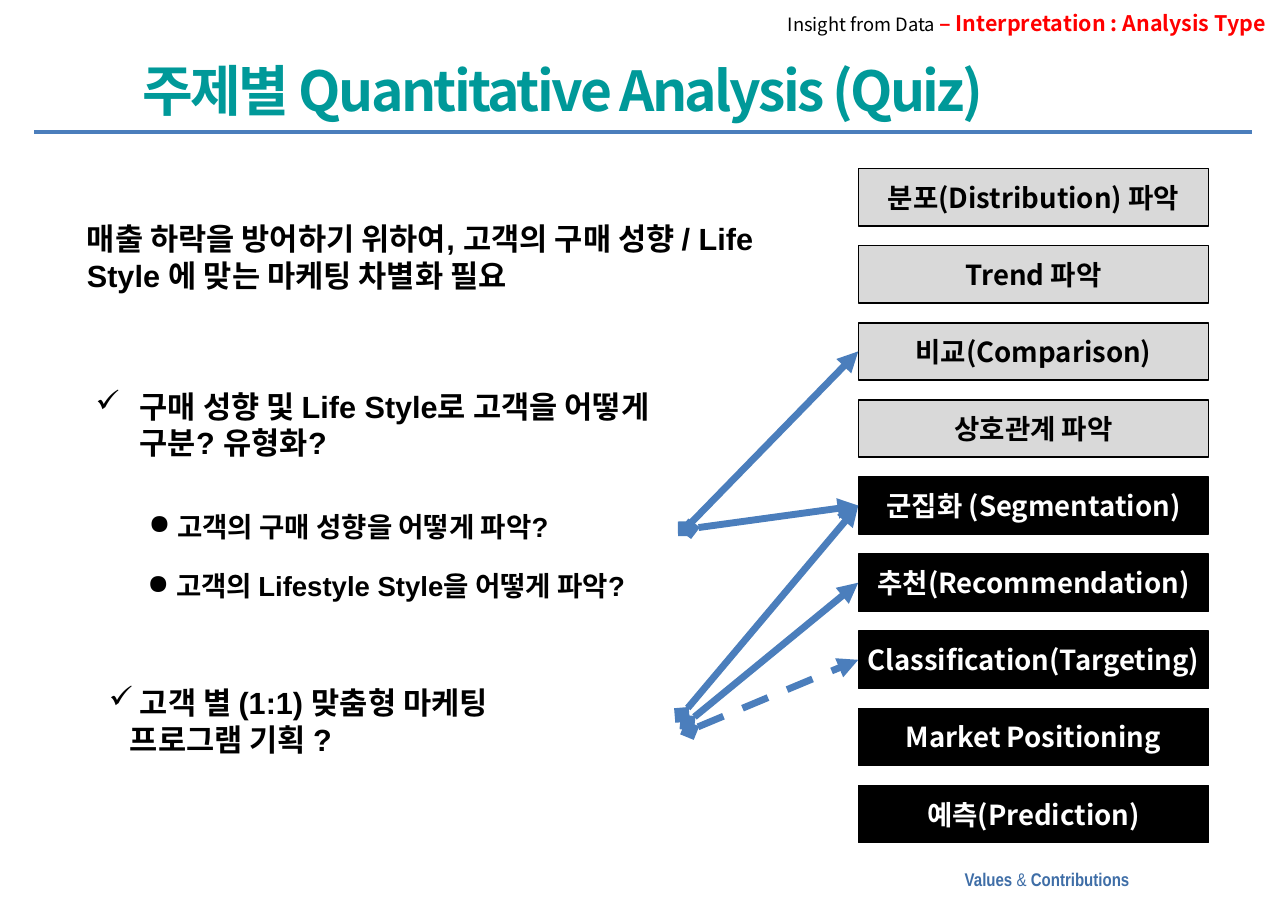
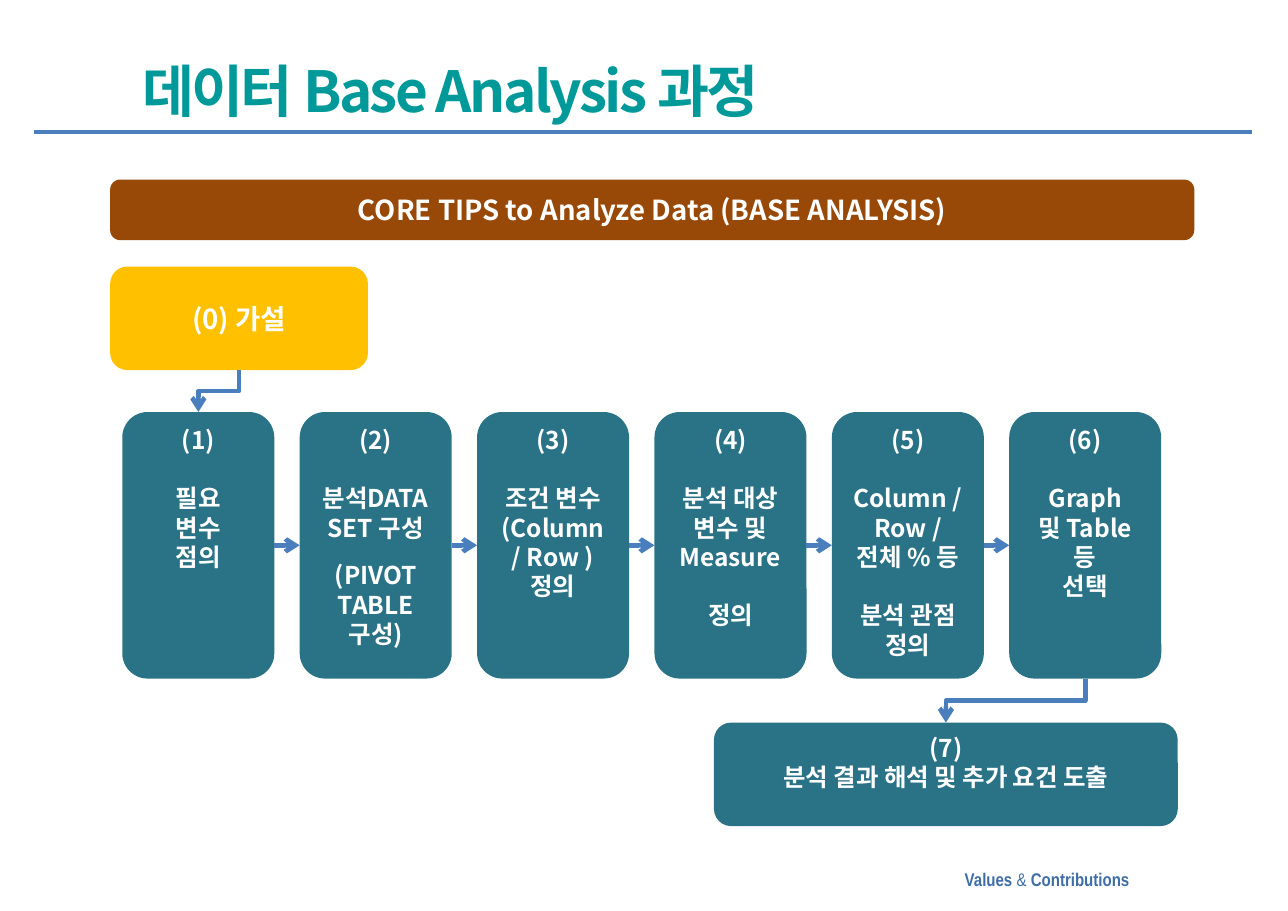
import dataclasses

import lxml.etree
import pptx
import pptx.dml.color
import pptx.enum.dml
import pptx.enum.shapes
import pptx.enum.text
import pptx.oxml.ns
import pptx.util

PX = 9144  # EMU in one px, 100 px to the inch
qn = pptx.oxml.ns.qn
SHAPE = pptx.enum.shapes.MSO_SHAPE
CONNECTOR = pptx.enum.shapes.MSO_CONNECTOR
ALIGN = pptx.enum.text.PP_ALIGN
ANCHOR = pptx.enum.text.MSO_ANCHOR
TOP, LEFT, BOTTOM, RIGHT = range(4)  # connection sites of a box


@dataclasses.dataclass(frozen=True)
class Theme:
    title: str = "009999"
    line: str = "4B7EBC"
    footer: str = "3F6EA7"
    black: str = "000000"
    white: str = "FFFFFF"
    red: str = "FF0000"
    gray: str = "D9D9D9"
    teal: str = "2A7286"
    brown: str = "984807"
    amber: str = "FFC000"
    korean_font: str = "Noto Sans CJK KR"
    body_font: str = "Arial"
    footer_font: str = "Arial Narrow"
    body_size: int = 20
    box_size: int = 18
    step_size: int = 16
    note_size: int = 14
    small_size: int = 12


THEME = Theme()


def style_text(shape, size, color, font=THEME.korean_font, align=ALIGN.LEFT, anchor=ANCHOR.TOP):
    """Format every run of the shape in bold and set its alignment."""
    frame = shape.text_frame
    frame.word_wrap = True
    frame.vertical_anchor = anchor
    for paragraph in frame.paragraphs:
        paragraph.alignment = align
        for run in paragraph.runs:
            run.font.size = pptx.util.Pt(size)
            run.font.bold = True
            run.font.name = font
            run.font.color.rgb = pptx.dml.color.RGBColor.from_string(color)
            properties = run.font._element
            lxml.etree.SubElement(properties, qn("a:ea"), typeface=THEME.korean_font)


def add_line(slide, start, end, weight, head="none", tail="none", kind=CONNECTOR.STRAIGHT):
    connector = slide.shapes.add_connector(kind, *(value * PX for value in (*start, *end)))
    connector.line.width = pptx.util.Pt(weight)
    connector.line.color.rgb = pptx.dml.color.RGBColor.from_string(THEME.line)
    properties = connector.element.spPr
    outline = properties.find(qn("a:ln"))
    lxml.etree.SubElement(outline, qn("a:headEnd"), type=head)
    lxml.etree.SubElement(outline, qn("a:tailEnd"), type=tail)
    lxml.etree.SubElement(properties, qn("a:effectLst"))
    return connector


presentation = pptx.Presentation()
presentation.slide_width = 1169 * PX
presentation.slide_height = 827 * PX
layout = presentation.slide_layouts[5]

# Titles
slides = []
for text, size in (("주제별 Quantitative Analysis (Quiz)", 36), ("데이터 Base Analysis 과정", 37)):
    slide = presentation.slides.add_slide(layout)
    title = slide.shapes.title
    title.left, title.top, title.width, title.height = (value * PX for value in (118, 50, 1018, 63))
    frame = title.text_frame
    frame.text = text
    frame.auto_size = pptx.enum.text.MSO_AUTO_SIZE.NONE
    frame.margin_left = frame.margin_right = 11 * PX
    frame.margin_top = frame.margin_bottom = 6 * PX
    style_text(title, size, THEME.title, anchor=ANCHOR.MIDDLE)
    frame.paragraphs[0].runs[0].font._element.set("spc", "-170")
    slides.append(slide)
quiz, process = slides

# Rule and footer, moved to the layout so that both slides share them
rule = add_line(quiz, (31, 120), (1136, 120), 3)
footer = quiz.shapes.add_textbox(787 * PX, 783 * PX, 248 * PX, 30 * PX)
for text in ("Values ", "& ", "Contributions"):
    footer.text_frame.paragraphs[0].add_run().text = text
style_text(footer, THEME.small_size, THEME.footer, THEME.footer_font, ALIGN.RIGHT)
footer.text_frame.paragraphs[0].runs[1].font.bold = False
for shared in (rule, footer):
    layout.shapes.element.append(shared.element)

# Quiz: header note
header = quiz.shapes.add_textbox(654 * PX, 4 * PX, 505 * PX, 34 * PX)
for text in ("Insight from Data ", "– Interpretation : Analysis Type"):
    header.text_frame.paragraphs[0].add_run().text = text
style_text(header, THEME.note_size, THEME.red, align=ALIGN.RIGHT)
lead = header.text_frame.paragraphs[0].runs[0].font
lead.size = pptx.util.Pt(THEME.small_size)
lead.bold = False
lead.color.rgb = pptx.dml.color.RGBColor.from_string(THEME.black)

# Quiz: analysis types
types = (
    "분포(Distribution) 파악", "Trend 파악", "비교(Comparison)", "상호관계 파악",
    "군집화 (Segmentation)", "추천(Recommendation)", "Classification(Targeting)",
    "Market Positioning", "예측(Prediction)",
)
type_boxes = []
for index, text in enumerate(types):
    fill, color = (THEME.gray, THEME.black) if index < 4 else (THEME.black, THEME.white)
    box = quiz.shapes.add_shape(SHAPE.RECTANGLE, 779 * PX, (153 + 70 * index) * PX, 318 * PX, 52 * PX)
    box.shadow.inherit = False
    box.fill.solid()
    box.fill.fore_color.rgb = pptx.dml.color.RGBColor.from_string(fill)
    box.line.color.rgb = pptx.dml.color.RGBColor.from_string(THEME.black)
    box.line.width = pptx.util.Pt(1)
    box.text_frame.margin_left = box.text_frame.margin_right = 0
    box.text_frame.text = text
    style_text(box, THEME.box_size, color, align=ALIGN.CENTER, anchor=ANCHOR.MIDDLE)
    type_boxes.append(box)

# Quiz: questions as left, top, width, height, size, bullet, indent, text
questions = (
    (69, 195, 636, 77, THEME.body_size, None, 0,
     "매출 하락을 방어하기 위하여, 고객의 구매 성향 / Life Style 에 맞는 마케팅 차별화 필요"),
    (77, 347, 547, 77, THEME.body_size, "✓", 40,
     "구매 성향 및 Life Style로 고객을 어떻게 구분? 유형화?"),
    (125, 458, 654, 40, THEME.box_size, "●", 26, "고객의 구매 성향을 어떻게 파악?"),
    (124, 512, 654, 40, THEME.box_size, "●", 26, "고객의 Lifestyle Style을 어떻게 파악?"),
    (89, 616, 440, 77, THEME.body_size, "✓", 19, " 고객 별 (1:1) 맞춤형 마케팅 프로그램 기획 ?"),
)
for left, top, width, height, size, bullet, indent, text in questions:
    question = quiz.shapes.add_textbox(left * PX, top * PX, width * PX, height * PX)
    question.text_frame.text = text
    if bullet:
        properties = question.text_frame.paragraphs[0]._p.get_or_add_pPr()
        properties.set("marL", str(indent * PX))
        properties.set("indent", str(-indent * PX))
        lxml.etree.SubElement(properties, qn("a:buChar"), char=bullet)
    style_text(question, size, THEME.black, THEME.body_font)

# Quiz: arrows from the questions to the matching types
matches = (((626, 480), 4), ((622, 480), 2), ((619, 649), 4), ((624, 656), 5), ((626, 663), 6))
for start, index in matches:
    arrow = add_line(quiz, start, start, 4.5, "diamond", "triangle")
    arrow.end_connect(type_boxes[index], LEFT)
arrow.line.dash_style = pptx.enum.dml.MSO_LINE.DASH

# Process: boxes as left, top, width, height, fill, size, anchor, lines (text, space before)
steps = (
    (("(1)", 0), ("필요", 19), ("변수", 0), ("점의", 0)),
    (("(2)", 0), ("분석DATA SET 구성", 19), ("(PIVOT TABLE", 12), ("구성)", 0)),
    (("(3)", 0), ("조건 변수", 19), ("(Column / Row )", 0), ("정의", 0)),
    (("(4)", 0), ("분석 대상 변수 및", 19), ("Measure", 0), ("정의", 19)),
    (("(5)", 0), ("Column / Row / 전체 % 등", 19), ("분석 관점 정의", 19)),
    (("(6)", 0), ("Graph", 19), ("및 Table 등", 0), ("선택", 0)),
)
box_specs = [
    (100, 163, 984, 55, THEME.brown, THEME.box_size, ANCHOR.MIDDLE,
     (("CORE TIPS to Analyze Data (BASE ANALYSIS)", 0),)),
    (100, 242, 234, 94, THEME.amber, THEME.box_size, ANCHOR.MIDDLE, (("(0) 가설", 0),)),
]
for index, lines in enumerate(steps):
    box_specs.append((111 + 161 * index, 374, 138, 242, THEME.teal, THEME.step_size, ANCHOR.TOP, lines))
box_specs.append((648, 656, 421, 94, THEME.teal, THEME.step_size, ANCHOR.TOP,
                  (("(7)", 0), ("분석 결과 해석 및 추가 요건 도출", 0))))

process_boxes = []
for left, top, width, height, fill, size, anchor, lines in box_specs:
    box = process.shapes.add_shape(SHAPE.ROUNDED_RECTANGLE, left * PX, top * PX, width * PX, height * PX)
    box.shadow.inherit = False
    box.fill.solid()
    box.fill.fore_color.rgb = pptx.dml.color.RGBColor.from_string(fill)
    box.line.fill.background()
    box.text_frame.text = "\n".join(text for text, gap in lines)
    for paragraph, (text, gap) in zip(box.text_frame.paragraphs, lines):
        if gap:
            paragraph.space_before = pptx.util.Pt(gap)
    style_text(box, size, THEME.white, align=ALIGN.CENTER, anchor=anchor)
    process_boxes.append(box)
banner, hypothesis, *step_boxes, conclusion = process_boxes

# Process: arrows along the row of steps
for source, target in zip(step_boxes, step_boxes[1:]):
    arrow = add_line(process, (0, 0), (0, 0), 3, tail="arrow")
    arrow.begin_connect(source, RIGHT)
    arrow.end_connect(target, LEFT)

# Process: bent arrows, turned by 90 degrees to leave downwards
for source, target in ((hypothesis, step_boxes[0]), (step_boxes[-1], conclusion)):
    arrow = add_line(process, (0, 0), (0, 0), 3, tail="arrow", kind=CONNECTOR.ELBOW)
    arrow.begin_connect(source, BOTTOM)
    arrow.end_connect(target, TOP)
    across = arrow.begin_x - arrow.end_x
    down = arrow.end_y - arrow.begin_y
    left = (arrow.begin_x + arrow.end_x - down) // 2
    top = (arrow.begin_y + arrow.end_y - across) // 2
    arrow.left, arrow.top, arrow.width, arrow.height = left, top, down, across
    transform = arrow.element.spPr.find(qn("a:xfrm"))
    transform.set("rot", "5400000")
    transform.attrib.pop("flipH", None)

presentation.save("out.pptx")
